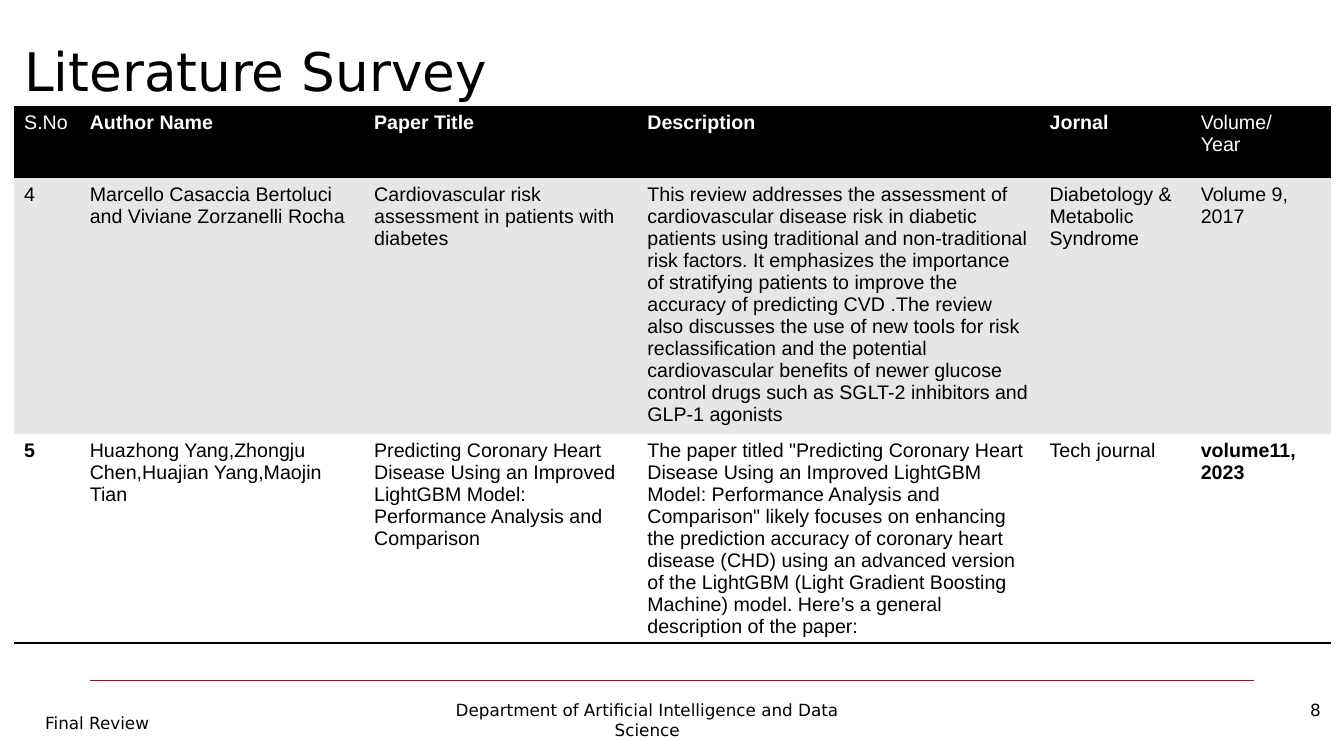
from typing import NamedTuple

from lxml import etree
from pptx import Presentation
from pptx import util as u
from pptx.dml.color import RGBColor
from pptx.enum import shapes, text
from pptx.oxml import ns

BLACK, WHITE, GREY, RED = "000000", "FFFFFF", "E6E6E6", "CC0000"
SANS, BODY = "DejaVu Sans", "Arial"
PLAIN = "{2D5ABB26-0587-4C30-8999-92F81FD0307C}"  # no style, no grid
LEFT, RIGHT, MID = text.PP_ALIGN.LEFT, text.PP_ALIGN.RIGHT, text.PP_ALIGN.CENTER


class Box(NamedTuple):
    """A frame in percent of the slide's width and height."""
    x: float
    y: float
    w: float
    h: float


class Note(NamedTuple):
    words: str
    box: Box
    align: text.PP_ALIGN


class Row(NamedTuple):
    height: float
    fill: str
    ink: str
    bold: set[int]
    cells: list[str]
    edge: str = ""


TITLE = Box(1.05, -3.87, 87.55, 18)
GRID = Box(1.05, 14.13, 97.98, 68.41)
COLS = [4.88, 21.16, 20.33, 29.93, 11.25, 10.43]
ROWS = [
    Row(9.47, BLACK, WHITE, {1, 2, 3, 4},
        ["S.No", "Author Name", "Paper Title", "Description", "Jornal",
         "Volume/\nYear"], "a:lnT"),
    Row(33.87, GREY, BLACK, set(),
        ["4", "Marcello Casaccia Bertoluci and Viviane Zorzanelli Rocha",
         "Cardiovascular risk assessment in patients with diabetes",
         "This review addresses the assessment of cardiovascular disease risk "
         "in diabetic patients using traditional and non-traditional risk "
         "factors. It emphasizes the importance of stratifying patients to "
         "improve the accuracy of predicting CVD .The review also discusses "
         "the use of new tools for risk reclassification and the potential "
         "cardiovascular benefits of newer glucose control drugs such as "
         "SGLT-2 inhibitors and GLP-1 agonists",
         "Diabetology & Metabolic Syndrome", "Volume 9, 2017"]),
    Row(25.07, WHITE, BLACK, {0, 5},
        ["5", "Huazhong Yang,Zhongju Chen,Huajian Yang,Maojin Tian",
         "Predicting Coronary Heart Disease Using an Improved LightGBM Model: "
         "Performance Analysis and Comparison",
         "The paper titled \"Predicting Coronary Heart Disease Using an "
         "Improved LightGBM Model: Performance Analysis and Comparison\" "
         "likely focuses on enhancing the prediction accuracy of coronary "
         "heart disease (CHD) using an advanced version of the LightGBM "
         "(Light Gradient Boosting Machine) model. Here’s a general "
         "description of the paper:",
         "Tech journal", "volume11,\n2023"], "a:lnB"),
]
NOTES = [
    Note("Final Review", Box(2.63, 93.6, 21.68, 6.93), LEFT),
    Note("Department of Artificial Intelligence and Data Science",
         Box(32.33, 91.87, 31.66, 6.93), MID),
    Note("8", Box(77.34, 91.87, 21.68, 6.93), RIGHT),
]

deck = Presentation()
deck.slide_width, deck.slide_height = u.Inches(13.33), u.Inches(7.5)
slide = deck.slides.add_slide(deck.slide_layouts[5])


def across(share: float) -> int:
    return round(deck.slide_width * share / 100)


def down(share: float) -> int:
    return round(deck.slide_height * share / 100)


def place(box: Box) -> tuple[int, int, int, int]:
    return across(box.x), down(box.y), across(box.w), down(box.h)


def tint(code: str) -> RGBColor:
    return RGBColor.from_string(code)


def style(frame, face: str, size: int, ink: str = BLACK,
          align: text.PP_ALIGN = LEFT, bold: bool = False) -> None:
    for para in frame.paragraphs:
        para.alignment = align
        font = para.font
        font.name, font.size, font.bold = face, u.Pt(size), bold
        font.color.rgb = tint(ink)


def rule(cell, tag: str) -> None:
    """Draw a black 2 pt border on the side that the tag names."""
    line = etree.Element(ns.qn(tag), w=str(u.Pt(2)))
    fill = etree.SubElement(line, ns.qn("a:solidFill"))
    etree.SubElement(fill, ns.qn("a:srgbClr"), val=BLACK)
    cell._tc.get_or_add_tcPr().insert(0, line)


def add_title(words: str) -> None:
    title = slide.shapes.title
    title.left, title.top, title.width, title.height = place(TITLE)
    frame = title.text_frame
    frame.text = words
    frame.auto_size = text.MSO_AUTO_SIZE.NONE
    frame.vertical_anchor = text.MSO_ANCHOR.BOTTOM
    style(frame, SANS, 38)


def add_survey() -> None:
    table = slide.shapes.add_table(len(ROWS), len(COLS), *place(GRID)).table
    table.first_row = table.horz_banding = False
    table._tbl.tblPr.find(ns.qn("a:tableStyleId")).text = PLAIN
    for col, width in zip(table.columns, COLS):
        col.width = across(width)
    for line, row in zip(table.rows, ROWS):
        line.height = down(row.height)
        for i, (cell, words) in enumerate(zip(line.cells, row.cells)):
            cell.text = words
            style(cell.text_frame, BODY, 14, row.ink, bold=i in row.bold)
            cell.fill.solid()
            cell.fill.fore_color.rgb = tint(row.fill)
            if row.edge:
                rule(cell, row.edge)


def add_line() -> None:
    line = slide.shapes.add_connector(
        shapes.MSO_CONNECTOR.STRAIGHT,
        across(6.68), down(90), across(93.32), down(90))
    line.line.color.rgb = tint(RED)
    line.line.width = u.Pt(0.75)
    etree.SubElement(line._element.spPr, ns.qn("a:effectLst"))


def add_note(note: Note) -> None:
    frame = slide.shapes.add_textbox(*place(note.box)).text_frame
    frame.word_wrap = True
    frame.text = note.words
    style(frame, SANS, 12, align=note.align)


def main() -> None:
    add_line()
    add_title("Literature Survey")
    add_survey()
    for note in NOTES:
        add_note(note)
    deck.save("out.pptx")


if __name__ == "__main__":
    main()
